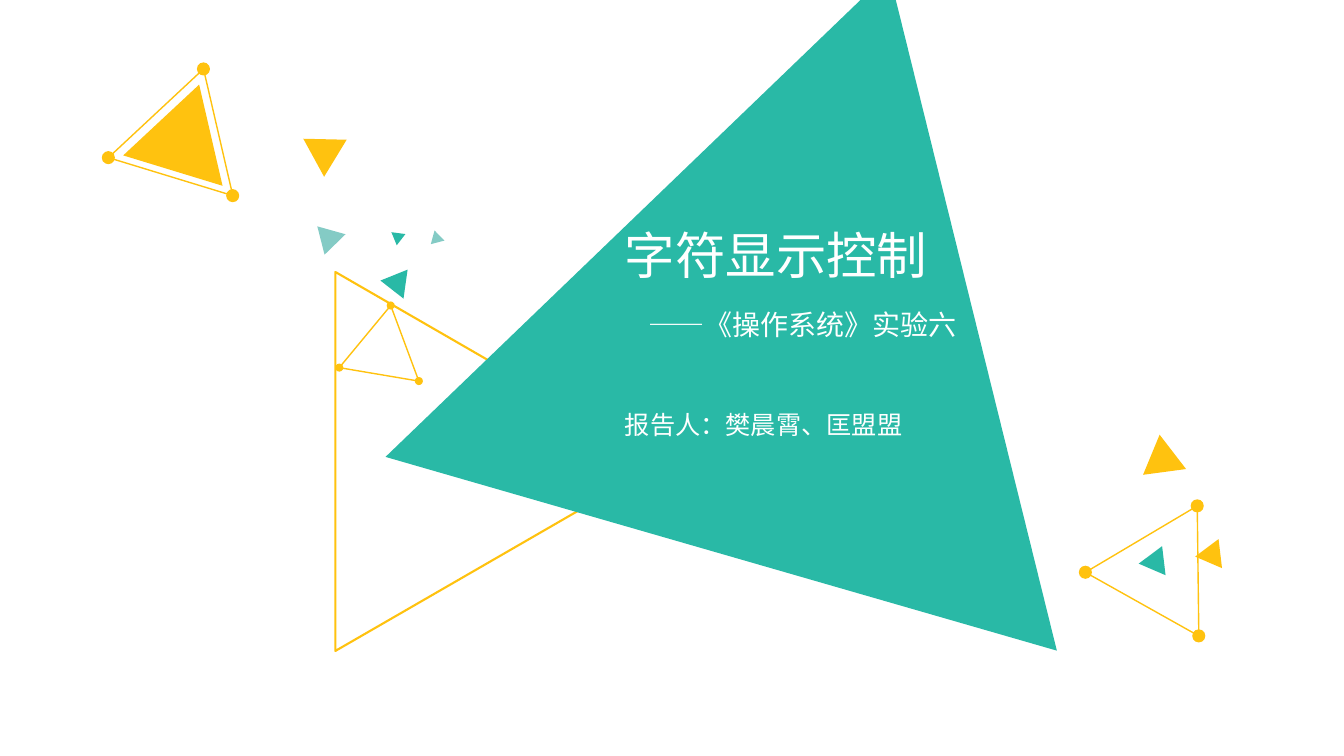
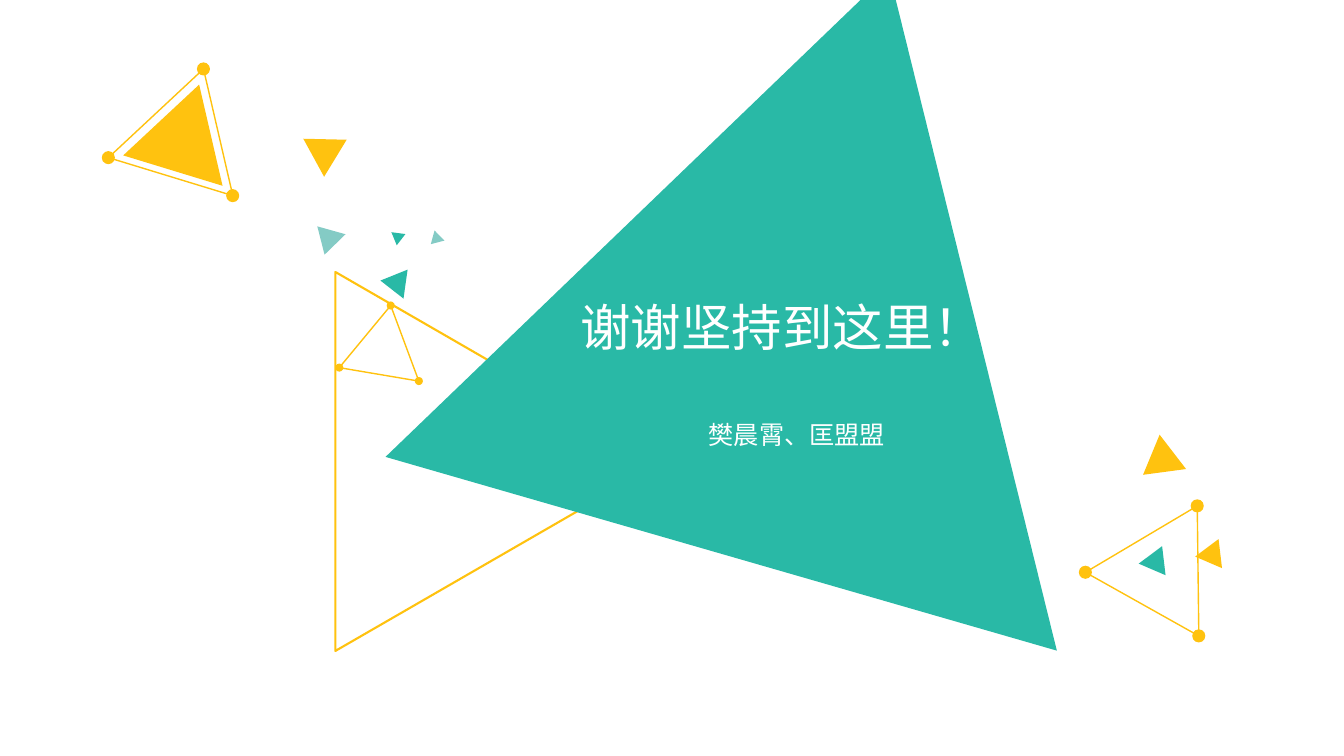
import math

import lxml.etree
import pptx
import pptx.dml.color
import pptx.enum.shapes
import pptx.oxml.ns
import pptx.util

YELLOW, TEAL, PALE, WHITE = "FFC20F", "29B9A6", "84CBC5", "FFFFFF"
TITLE_FONT, BODY_FONT = "Noto Sans CJK JP", "Noto Sans CJK SC"
TRIANGLE = pptx.enum.shapes.MSO_SHAPE.ISOSCELES_TRIANGLE
DOT = pptx.enum.shapes.MSO_SHAPE.OVAL
SLOPE = math.sqrt(3) / 2  # height of an equilateral triangle per unit of side

# Triangles: left, top, side, rotation, colour
BACK_OUTLINE = (2.26, 3.42, 3.76, 210, YELLOW)
MAIN_TRIANGLE = (4.52, -0.39, 6.93, 16.1, TEAL)
SMALL_TRIANGLES = [
    (11.27, 4.41, 0.43, 232.4, YELLOW),
    (11.34, 5.48, 0.29, 143.3, TEAL),
    (11.9, 5.41, 0.29, 143.3, YELLOW),
    (3.09, 2.21, 0.29, 315.7, PALE),
    (3.06, 1.29, 0.43, 61.3, YELLOW),
    (3.81, 2.72, 0.29, 158, TEAL),
    (1.33, 0.82, 1.03, 17, YELLOW),
    (4.28, 2.31, 0.14, 105.3, PALE),
    (3.86, 2.28, 0.14, 307.6, TEAL),
]
# Outlines with a dot on each corner: triangle, dot diameter
DOTTED_FRAMES = [
    ((10.96, 5.27, 1.29, 149.3, YELLOW), 0.13),
    ((3.29, 3.18, 0.8, 249.6, YELLOW), 0.08),
    ((1.21, 0.66, 1.29, 17, YELLOW), 0.13),
]

# Text of each slide: wording, (left, top, width, height), size, font
SLIDES = [
    [
        ("字符显示控制", (6.1, 2.17, 4.37, 0.71), 36, TITLE_FONT),
        ("——《操作系统》实验六", (6.33, 3, 3.56, 0.44), 20, BODY_FONT),
        ("报告人：樊晨霄、匡盟盟", (6.1, 4.01, 3.58, 0.4), 18, BODY_FONT),
    ],
    [
        ("谢谢坚持到这里！", (5.66, 2.89, 4.37, 0.71), 36, TITLE_FONT),
        ("樊晨霄、匡盟盟", (6.93, 4.11, 2.01, 0.4), 18, BODY_FONT),
    ],
]


def rgb(value):
    return pptx.dml.color.RGBColor.from_string(value)


def inches(*lengths):
    return [pptx.util.Inches(length) for length in lengths]


def add_figure(slide, kind, box, color, rotation=0, outline=None):
    """Filled figure, or an unfilled one when an outline width is given."""
    figure = slide.shapes.add_shape(kind, *inches(*box))
    figure.shadow.inherit = False
    figure.rotation = rotation
    if outline:
        figure.fill.background()
        figure.line.color.rgb = rgb(color)
        figure.line.width = pptx.util.Pt(outline)
    else:
        figure.fill.solid()
        figure.fill.fore_color.rgb = rgb(color)
        figure.line.fill.background()


def add_triangle(slide, triangle, outline=None):
    left, top, side, rotation, color = triangle
    box = (left, top, side, side * SLOPE)
    add_figure(slide, TRIANGLE, box, color, rotation, outline)


def corners(triangle):
    """Corners of a triangle turned about the centre of its box."""
    left, top, side, rotation, _ = triangle
    half_w, half_h = side / 2, side * SLOPE / 2
    sin, cos = math.sin(math.radians(rotation)), math.cos(math.radians(rotation))
    for x, y in ((0, -half_h), (-half_w, half_h), (half_w, half_h)):
        yield left + half_w + x * cos - y * sin, top + half_h + x * sin + y * cos


def add_decoration(slide):
    add_triangle(slide, BACK_OUTLINE, outline=1.5)
    add_triangle(slide, MAIN_TRIANGLE)
    for triangle in SMALL_TRIANGLES:
        add_triangle(slide, triangle)
    for frame, size in DOTTED_FRAMES:
        add_triangle(slide, frame, outline=1)
        for x, y in corners(frame):
            add_figure(slide, DOT, (x - size / 2, y - size / 2, size, size), YELLOW)


def add_text(slide, wording, box, size, font):
    frame = slide.shapes.add_textbox(*inches(*box)).text_frame
    frame.word_wrap = True
    line = frame.paragraphs[0]
    line.text = wording
    line.font.size = pptx.util.Pt(size)
    line.font.color.rgb = rgb(WHITE)
    line.font.name = font
    # Chinese characters take the East Asian font
    qn = pptx.oxml.ns.qn
    defaults = line._p.pPr.find(qn("a:defRPr"))
    lxml.etree.SubElement(defaults, qn("a:ea")).set("typeface", font)


def main():
    deck = pptx.Presentation()
    deck.slide_width, deck.slide_height = inches(13.33, 7.5)
    for texts in SLIDES:
        slide = deck.slides.add_slide(deck.slide_layouts[6])
        add_decoration(slide)
        for text in texts:
            add_text(slide, *text)
    deck.save("out.pptx")


if __name__ == "__main__":
    main()
